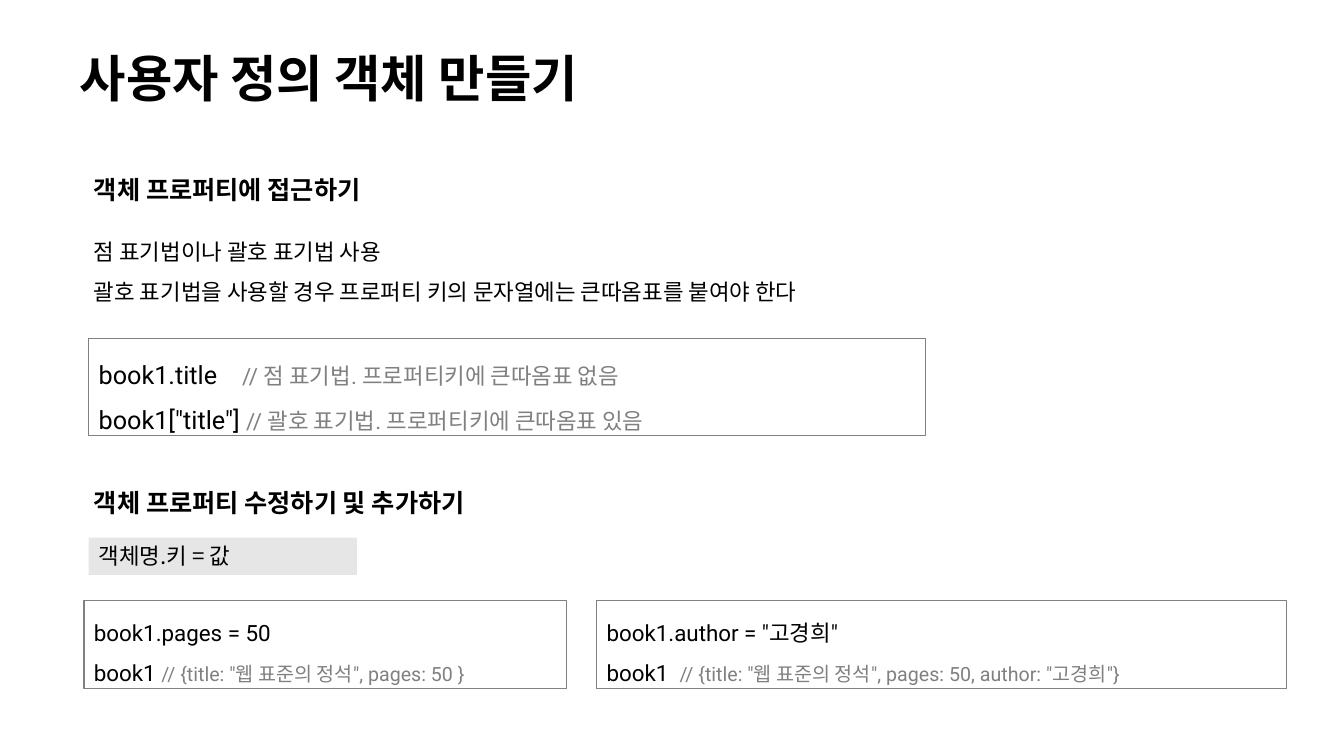
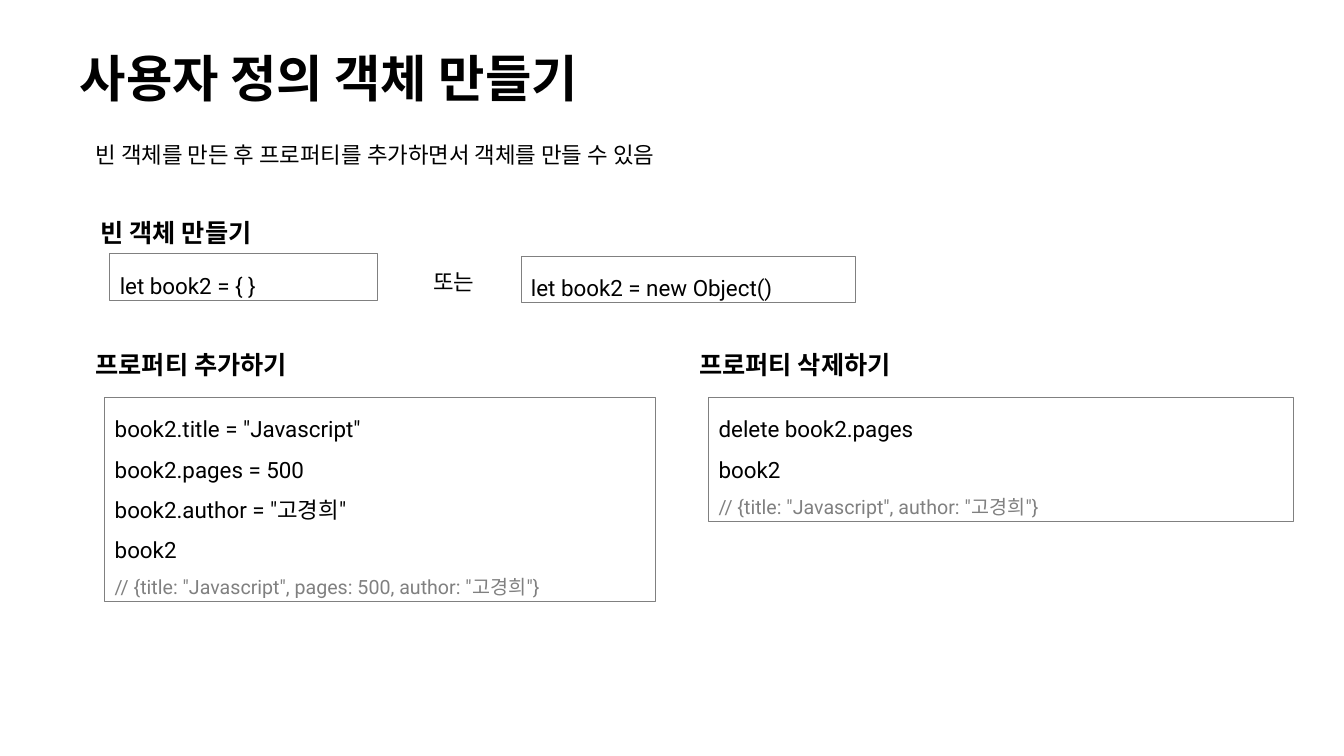
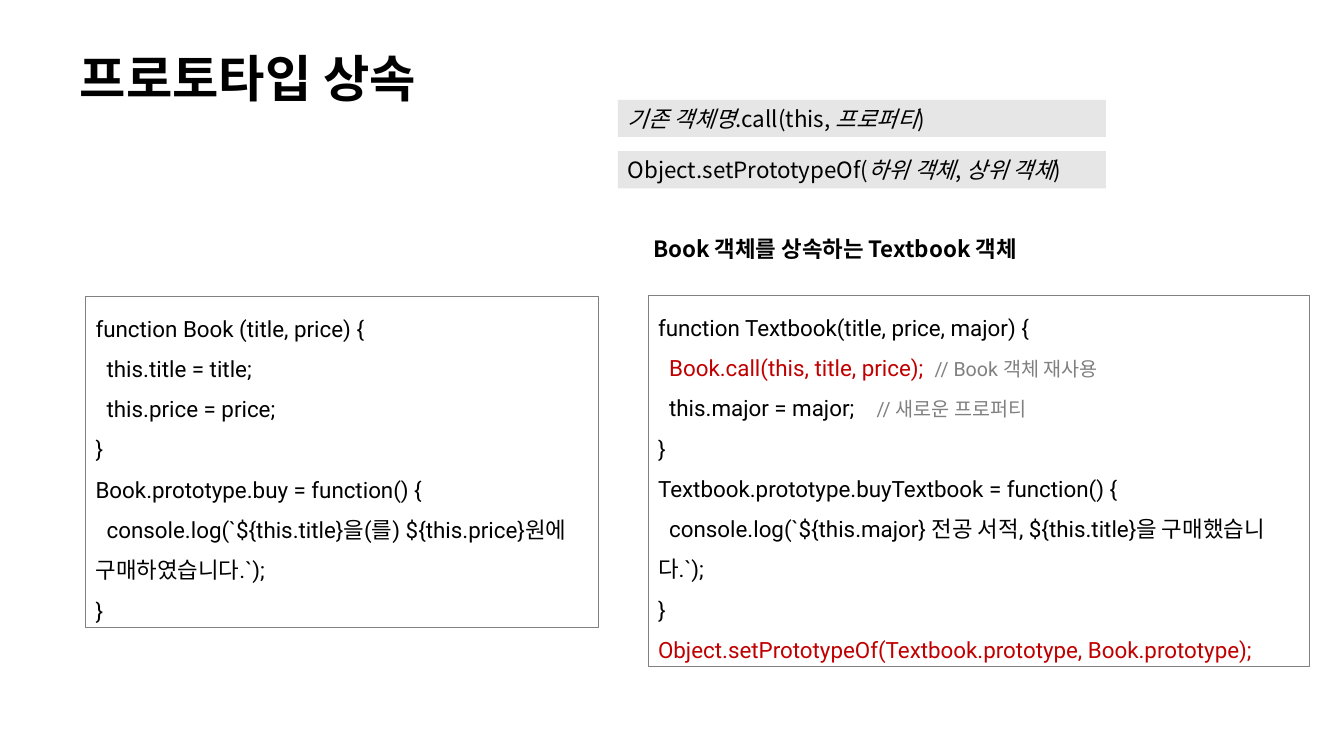
import dataclasses

import pptx
import pptx.dml.color
import pptx.enum.shapes
import pptx.enum.text
import pptx.oxml
import pptx.oxml.ns
import pptx.util

Pt = pptx.util.Pt


@dataclasses.dataclass(frozen=True)
class Style:
    size: int
    font: str
    color: str = "000000"
    bold: bool = False
    italic: bool = False


class Theme:
    korean = "Noto Sans CJK KR"
    code_font = "Roboto"
    outline = "808080"
    panel = "E7E6E6"
    title = Style(36, korean, bold=True)
    latin_title = Style(36, "Arial", bold=True)
    heading = Style(18, korean, bold=True)
    subheading = Style(16, korean, bold=True)
    body = Style(16, korean)
    variable = Style(16, korean, italic=True)
    code = Style(16, code_font)
    large_code = Style(18, code_font)
    accent = Style(16, code_font, "C00000")
    comment = Style(14, code_font, outline)
    large_comment = Style(16, code_font, outline)
    code_spacing = 1.5
    title_spacing = 0.9
    line_height = 26.6


def rgb(value):
    return pptx.dml.color.RGBColor.from_string(value)


class Deck:
    def __init__(self):
        self.presentation = pptx.Presentation()
        self.presentation.slide_width = Pt(960)
        self.presentation.slide_height = Pt(540)
        self.slide = None

    def new_slide(self, title, style=Theme.title):
        layout = self.presentation.slide_layouts[6]
        self.slide = self.presentation.slides.add_slide(layout)
        frame = self.text_box(50, 25, 701, 66, [title], style, Theme.title_spacing)
        frame.auto_size = pptx.enum.text.MSO_AUTO_SIZE.NONE
        frame.vertical_anchor = pptx.enum.text.MSO_ANCHOR.MIDDLE

    def add_lines(self, shape, lines, style, spacing):
        """Each line is a string, or a list of strings and (string, Style) pairs."""
        frame = shape.text_frame
        frame.word_wrap = True
        frame.auto_size = pptx.enum.text.MSO_AUTO_SIZE.SHAPE_TO_FIT_TEXT
        frame.vertical_anchor = pptx.enum.text.MSO_ANCHOR.TOP
        for index, line in enumerate(lines):
            paragraph = frame.add_paragraph() if index else frame.paragraphs[0]
            paragraph.alignment = pptx.enum.text.PP_ALIGN.LEFT
            paragraph.line_spacing = spacing
            for part in [line] if isinstance(line, str) else line:
                text, run_style = (part, style) if isinstance(part, str) else part
                run = paragraph.add_run()
                run.text = text
                self.style_run(run, run_style)
        return frame

    def style_run(self, run, style):
        font = run.font
        font.size = Pt(style.size)
        font.name = style.font
        font.bold = style.bold
        font.italic = style.italic
        font.color.rgb = rgb(style.color)
        # Korean glyphs always come from the Korean typeface
        east_asian = pptx.oxml.parse_xml(
            f'<a:ea {pptx.oxml.ns.nsdecls("a")} typeface="{Theme.korean}"/>')
        properties = run._r.get_or_add_rPr()
        properties.find(pptx.oxml.ns.qn("a:latin")).addnext(east_asian)

    def text_box(self, left, top, width, height, lines, style=Theme.body, spacing=1.0):
        box = self.slide.shapes.add_textbox(Pt(left), Pt(top), Pt(width), Pt(height))
        return self.add_lines(box, lines, style, spacing)

    def heading(self, left, top, width, text):
        self.text_box(left, top, width, 36, [text], Theme.heading, Theme.code_spacing)

    def rectangle(self, left, top, width, height):
        shape = self.slide.shapes.add_shape(
            pptx.enum.shapes.MSO_SHAPE.RECTANGLE,
            Pt(left), Pt(top), Pt(width), Pt(height))
        shape.shadow.inherit = False
        return shape

    def code_box(self, left, top, width, height, lines, style=Theme.code):
        shape = self.rectangle(left, top, width, height)
        shape.fill.background()
        shape.line.color.rgb = rgb(Theme.outline)
        shape.line.width = Pt(0.75)
        self.add_lines(shape, lines, style, Theme.code_spacing)

    def syntax_bar(self, left, top, width, line):
        shape = self.rectangle(left, top, width, Theme.line_height)
        shape.fill.solid()
        shape.fill.fore_color.rgb = rgb(Theme.panel)
        shape.line.fill.background()
        self.add_lines(shape, [line], Theme.body, 1.0)


def property_slide(deck):
    deck.new_slide("사용자 정의 객체 만들기")

    # Reading properties
    deck.heading(60, 110, 287, "객체 프로퍼티에 접근하기")
    deck.text_box(60, 157, 579, 62, [
        "점 표기법이나 괄호 표기법 사용",
        "괄호 표기법을 사용할 경우 프로퍼티 키의 문자열에는 큰따옴표를 붙여야 한다",
    ], spacing=Theme.code_spacing)
    deck.code_box(63.4, 242, 597.6, 69.1, [
        ["book1.title    ",
         ("// 점 표기법. 프로퍼티키에 큰따옴표 없음", Theme.large_comment)],
        ['book1["title"] ',
         ("// 괄호 표기법. 프로퍼티키에 큰따옴표 있음", Theme.large_comment)],
    ], Theme.large_code)

    # Changing and adding properties
    deck.heading(60, 334, 345, "객체 프로퍼티 수정하기 및 추가하기")
    deck.syntax_bar(63.4, 384, 191.5, "객체명.키 = 값")
    deck.code_box(60, 429, 345, 62.6, [
        "book1.pages = 50",
        ["book1 ", ('// {title: "웹 표준의 정석", pages: 50 }', Theme.comment)],
    ])
    deck.code_box(426.2, 429, 492.5, 62.6, [
        'book1.author = "고경희"',
        ["book1  ", ('// {title: "웹 표준의 정석", pages: 50, author: "고경희"}',
                     Theme.comment)],
    ])


def empty_object_slide(deck):
    deck.new_slide("사용자 정의 객체 만들기")
    deck.text_box(61.2, 97.2, 561.6, Theme.line_height,
                  ["빈 객체를 만든 후 프로퍼티를 추가하면서 객체를 만들 수 있음"])

    # Two ways to make an empty object
    deck.heading(65, 141, 441, "빈 객체 만들기")
    deck.code_box(78.5, 181.4, 191.5, 33.1, ["let book2 = { }"])
    deck.text_box(302.4, 188, 54, Theme.line_height, ["또는"])
    deck.code_box(372.2, 183, 239, 33.1, ["let book2 = new Object()"])

    # Adding and deleting properties
    columns = [
        (61.2, "프로퍼티 추가하기", 393.1, 146.2, [
            'book2.title = "Javascript"',
            "book2.pages = 500",
            'book2.author = "고경희"',
            "book2",
            [('// {title: "Javascript", pages: 500, author: "고경희"}', Theme.comment)],
        ]),
        (492.5, "프로퍼티 삭제하기", 417.6, 88.6, [
            "delete book2.pages",
            "book2",
            [('// {title: "Javascript", author: "고경희"}', Theme.comment)],
        ]),
    ]
    for left, heading, width, height, lines in columns:
        deck.heading(left, 235.4, 214.6, heading)
        deck.code_box(left + 13.7, 283.7, width, height, lines)


def prototype_slide(deck):
    deck.new_slide("프로토타입 상속", Theme.latin_title)

    # Syntax patterns
    deck.syntax_bar(441.4, 71.3, 348.5, [
        ("기존 객체명", Theme.variable), ".call(this, ",
        ("프로퍼티", Theme.variable), ")"])
    deck.syntax_bar(441.4, 108, 348.5, [
        "Object.setPrototypeOf(", ("하위 객체", Theme.variable), ", ",
        ("상위 객체", Theme.variable), ")"])

    # Parent object
    deck.code_box(61.2, 211.7, 366.5, 236.2, [
        "function Book (title, price) {",
        "  this.title = title;",
        "  this.price = price;",
        "}",
        "Book.prototype.buy = function() {",
        "  console.log(`${this.title}을(를) ${this.price}원에 구매하였습니다.`);",
        "}",
    ])

    # Inheriting object
    deck.text_box(459.4, 164.2, 480.2, Theme.line_height,
                  ["Book 객체를 상속하는 Textbook 객체"], Theme.subheading)
    deck.code_box(463, 211, 472.3, 265, [
        "function Textbook(title, price, major) {",
        ["  ", ("Book.call(this, title, price);  ", Theme.accent),
         ("// Book 객체 재사용", Theme.comment)],
        ["  this.major = major;    ", ("// 새로운 프로퍼티", Theme.comment)],
        "}",
        "Textbook.prototype.buyTextbook = function() {",
        "  console.log(`${this.major} 전공 서적, ${this.title}을 구매했습니다.`);",
        "}",
        [("Object.setPrototypeOf(Textbook.prototype, Book.prototype);", Theme.accent)],
    ])


def main():
    deck = Deck()
    property_slide(deck)
    empty_object_slide(deck)
    prototype_slide(deck)
    deck.presentation.save("out.pptx")


if __name__ == "__main__":
    main()
